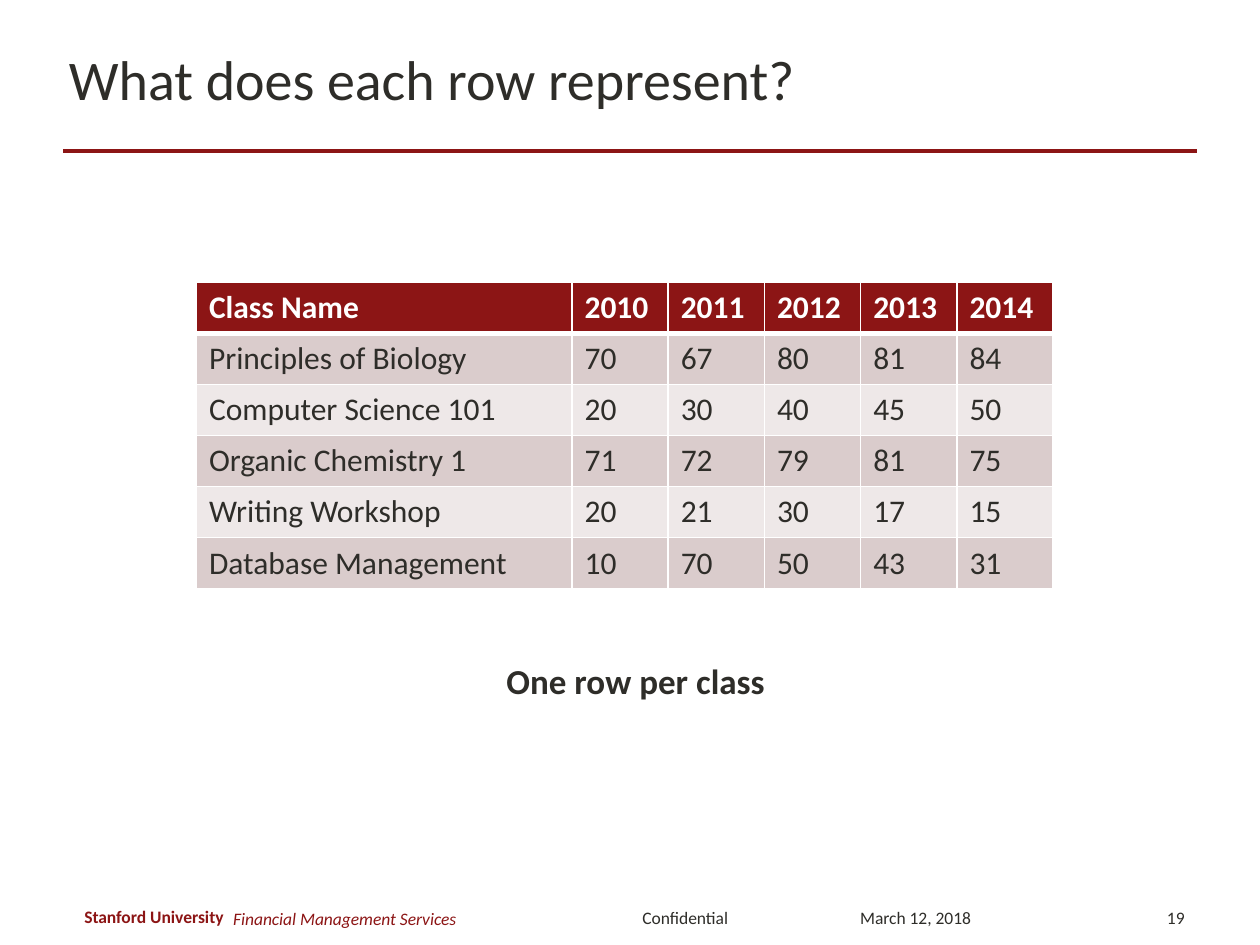
"""Build the slide on what each row of a class enrolment table represents."""
from dataclasses import dataclass

from lxml import etree
from pptx import Presentation
from pptx import util as u
from pptx.dml.color import RGBColor
from pptx.enum import shapes, text
from pptx.oxml.ns import qn
from pptx.slide import Slide
from pptx.table import _Cell
from pptx.text.text import _Paragraph

COLORS = {
    "cardinal": "8C1515",
    "ink": "2E2D29",
    "white": "FFFFFF",
    "band_dark": "DACCCC",
    "band_light": "EEE8E8",
}
FONT = "Calibri"
ENROLMENT = [
    ("Class Name", 2010, 2011, 2012, 2013, 2014),
    ("Principles of Biology", 70, 67, 80, 81, 84),
    ("Computer Science 101", 20, 30, 40, 45, 50),
    ("Organic Chemistry 1", 71, 72, 79, 81, 75),
    ("Writing Workshop", 20, 21, 30, 17, 15),
    ("Database Management", 10, 70, 50, 43, 31),
]
NAME_WIDTH, YEAR_WIDTH, ROW_HEIGHT = 7.57, 1.94, 1.03


@dataclass(frozen=True)
class Label:
    """Text with its place in centimetres and its style."""

    words: str
    left: float
    top: float
    width: float
    height: float
    size: int = 10
    color: str = "ink"
    bold: bool = False
    italic: bool = False
    wrap: bool = True
    align: text.PP_ALIGN = text.PP_ALIGN.LEFT
    anchor: text.MSO_ANCHOR = text.MSO_ANCHOR.MIDDLE


LABELS = [
    Label("What does each row represent?", 1.14, 0.46, 22.86, 2.21, size=32),
    Label("One row per class", 9.96, 13.18, 5.92, 1.73, size=20, bold=True,
          anchor=text.MSO_ANCHOR.TOP),
    Label("Stanford University", 1.45, 18.14, 3.38, 0.69, color="cardinal",
          bold=True, wrap=False),
    Label("Financial Management Services", 4.45, 18.01, 8.05, 1.02,
          color="cardinal", italic=True),
    Label("Confidential", 12.7, 17.98, 2.59, 1.02),
    Label("March 12, 2018", 17.09, 17.98, 3.51, 1.02),
    Label("19", 22.43, 17.98, 1.7, 1.02, align=text.PP_ALIGN.RIGHT),
]


def rgb(name: str) -> RGBColor:
    """Look up a colour by name."""
    return RGBColor.from_string(COLORS[name])


def style(paragraph: _Paragraph, size: int, color: str,
          bold: bool = False, italic: bool = False) -> None:
    """Set the font of a paragraph."""
    font = paragraph.font
    font.name, font.size = FONT, u.Pt(size)
    font.bold, font.italic = bold, italic
    font.color.rgb = rgb(color)


def add_label(slide: Slide, label: Label) -> None:
    """Draw one label as a text box."""
    place = map(u.Cm, (label.left, label.top, label.width, label.height))
    frame = slide.shapes.add_textbox(*place).text_frame
    frame.word_wrap = label.wrap
    frame.vertical_anchor = label.anchor
    words = frame.paragraphs[0]
    words.text, words.alignment = label.words, label.align
    style(words, label.size, label.color, label.bold, label.italic)


def add_title_rule(slide: Slide) -> None:
    """Draw the rule below the title."""
    rule = slide.shapes.add_connector(
        shapes.MSO_CONNECTOR.STRAIGHT,
        u.Cm(1.27), u.Cm(3.05), u.Cm(24.13), u.Cm(3.05))
    rule.line.color.rgb = rgb("cardinal")
    rule.line.width = u.Pt(2.25)
    etree.SubElement(rule._element.spPr, qn("a:effectLst"))


def add_borders(cell: _Cell, top: float, bottom: float) -> None:
    """Give a cell white borders of the given point widths."""
    properties = cell._tc.get_or_add_tcPr()
    for side, width in (("L", 1), ("R", 1), ("T", top), ("B", bottom)):
        border = etree.SubElement(properties, qn(f"a:ln{side}"), w=str(u.Pt(width)))
        fill = etree.SubElement(border, qn("a:solidFill"))
        etree.SubElement(fill, qn("a:srgbClr"), val=COLORS["white"])


def add_enrolment(slide: Slide) -> None:
    """Draw the table of class sizes by year."""
    widths = [NAME_WIDTH] + [YEAR_WIDTH] * (len(ENROLMENT[0]) - 1)
    table = slide.shapes.add_table(
        len(ENROLMENT), len(widths), u.Cm(3.96), u.Cm(5.69),
        u.Cm(sum(widths)), u.Cm(ROW_HEIGHT * len(ENROLMENT))).table
    for column, width in zip(table.columns, widths):
        column.width = u.Cm(width)
    for r, entries in enumerate(ENROLMENT):
        table.rows[r].height = u.Cm(ROW_HEIGHT)
        header = r == 0
        band = "cardinal" if header else "band_dark" if r % 2 else "band_light"
        for c, entry in enumerate(entries):
            cell = table.cell(r, c)
            add_borders(cell, top=3 if r == 1 else 1, bottom=3 if header else 1)
            cell.fill.solid()
            cell.fill.fore_color.rgb = rgb(band)
            cell.text = str(entry)
            style(cell.text_frame.paragraphs[0], 18,
                  "white" if header else "ink", bold=header)


def main() -> None:
    """Build and save the slide."""
    deck = Presentation()
    deck.slide_width, deck.slide_height = u.Cm(25.4), u.Cm(19.05)
    slide = deck.slides.add_slide(deck.slide_layouts[6])
    add_title_rule(slide)
    add_enrolment(slide)
    for label in LABELS:
        add_label(slide, label)
    deck.save("out.pptx")


if __name__ == "__main__":
    main()
